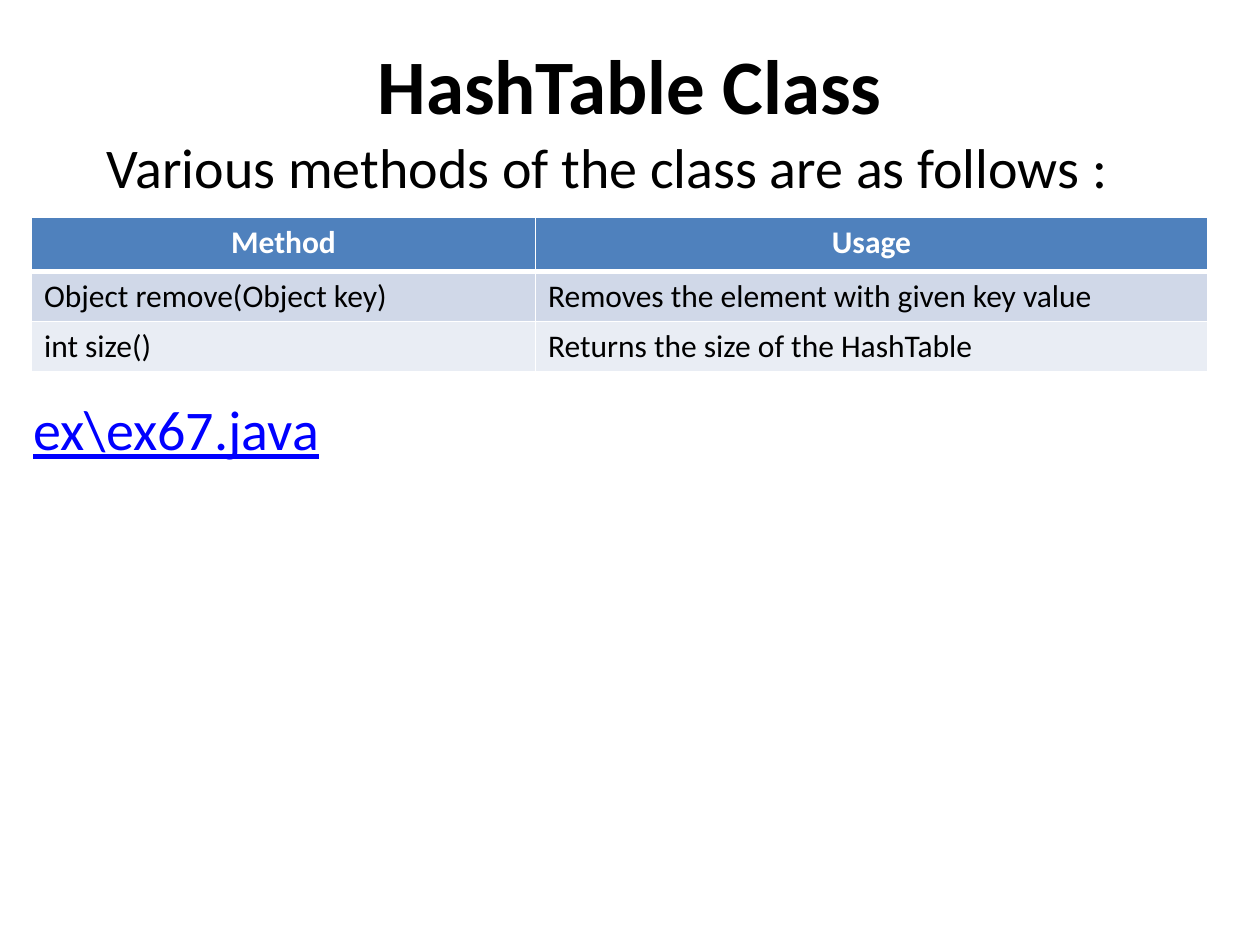
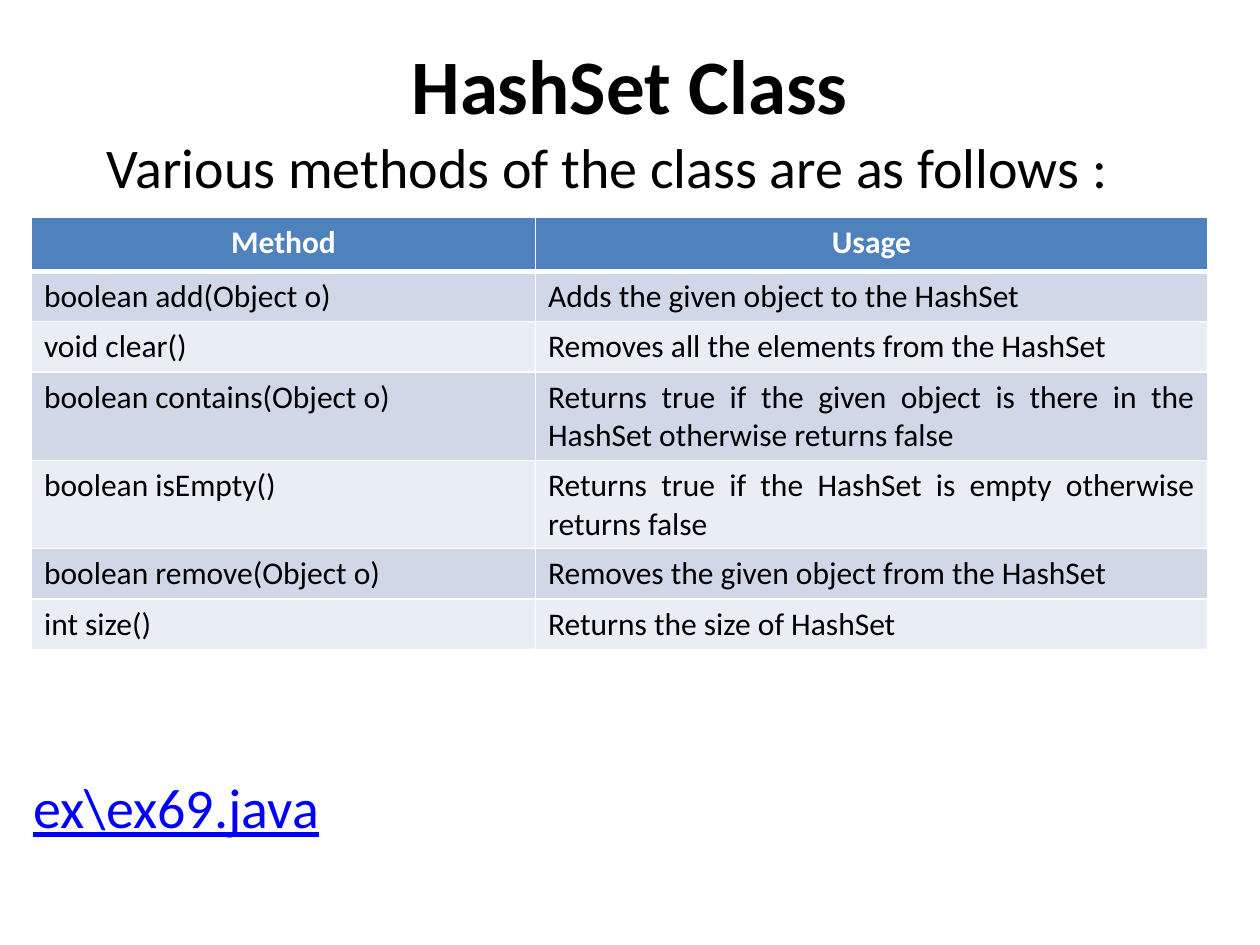
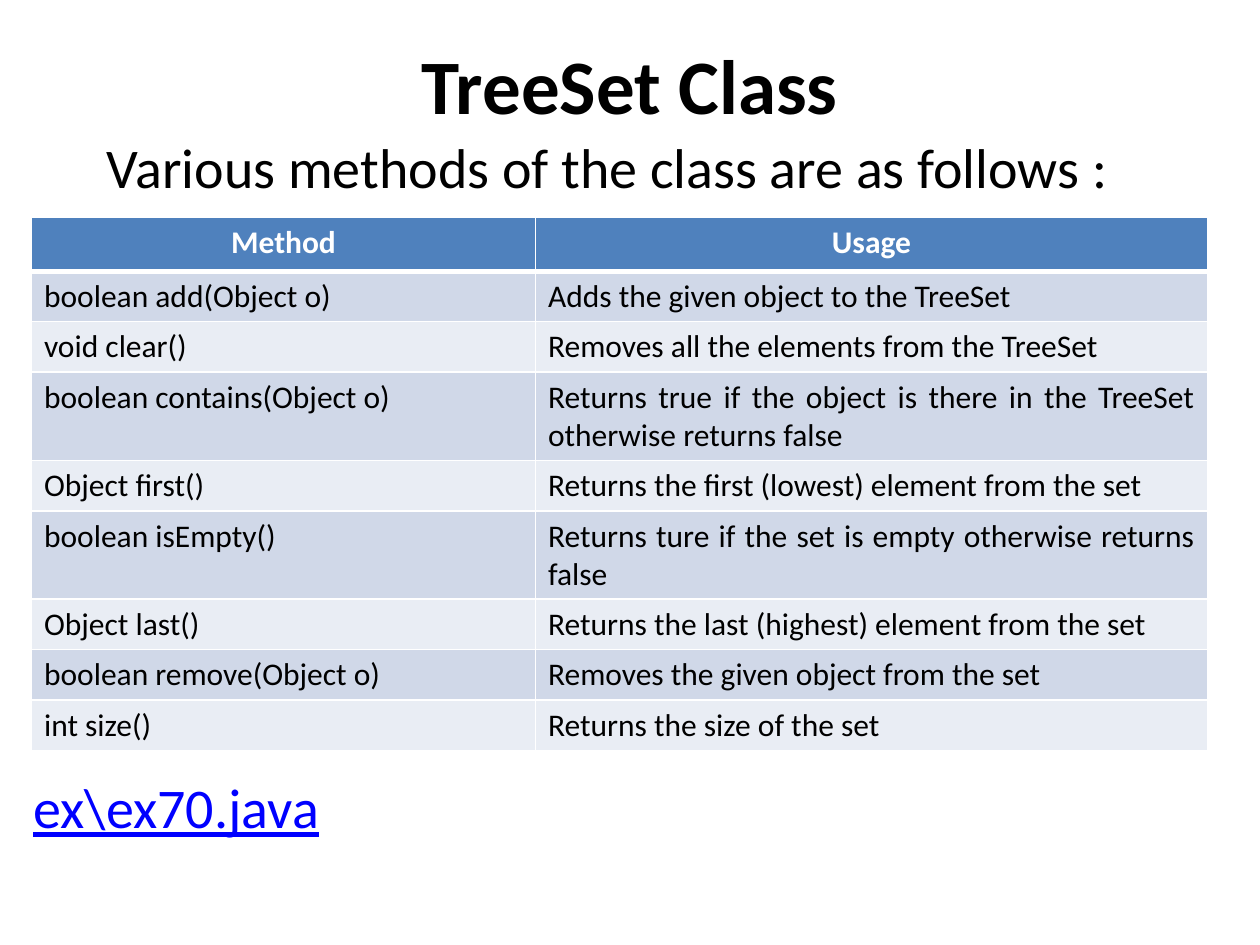
from lxml.etree import SubElement
from pptx import Presentation
from pptx.dml.color import RGBColor
from pptx.enum.text import MSO_ANCHOR, MSO_AUTO_SIZE, PP_ALIGN
from pptx.oxml.ns import qn
from pptx.util import Pt

FACE = "Calibri"
BLACK, WHITE, LINK = "000000", "FFFFFF", "0000FF"
HEAD, BANDS = "4F81BD", ("D0D8E8", "E9EDF4")
COLS = (288, 384)
HEAD_ROW, BODY_ROW = 31, 25

SLIDES = [
    ("HashTable Class", r"ex\ex67.java", 222, [
        ("Object remove(Object key)", "Removes the element with given key value"),
        ("int size()", "Returns the size of the HashTable"),
    ]),
    ("HashSet Class", r"ex\ex69.java", 438, [
        ("boolean add(Object o)", "Adds the given object to the HashSet"),
        ("void clear()", "Removes all the elements from the HashSet"),
        ("boolean contains(Object o)",
         "Returns true if the given object is there in the HashSet otherwise returns false"),
        ("boolean isEmpty()",
         "Returns true if the HashSet is empty otherwise returns false"),
        ("boolean remove(Object o)", "Removes the given object from the HashSet"),
        ("int size()", "Returns the size of HashSet"),
    ]),
    ("TreeSet Class", r"ex\ex70.java", 438, [
        ("boolean add(Object o)", "Adds the given object to the TreeSet"),
        ("void clear()", "Removes all the elements from the TreeSet"),
        ("boolean contains(Object o)",
         "Returns true if the object is there in the TreeSet otherwise returns false"),
        ("Object first()", "Returns the first (lowest) element from the set"),
        ("boolean isEmpty()",
         "Returns ture if the set is empty otherwise returns false"),
        ("Object last()", "Returns the last (highest) element from the set"),
        ("boolean remove(Object o)", "Removes the given object from the set"),
        ("int size()", "Returns the size of the set"),
    ]),
]


def paint(target, color):
    """Colour a fill."""
    target.solid()
    target.fore_color.rgb = RGBColor.from_string(color)


def write(frame, text, size, color, align, bold=False, under=False):
    frame.text = text
    para = frame.paragraphs[0]
    para.alignment = align
    font = para.font
    font.name, font.size = FACE, Pt(size)
    font.bold, font.underline = bold, under
    font.color.rgb = RGBColor.from_string(color)


def add_title(slide, text):
    title = slide.shapes.title
    title.left, title.top = Pt(0), Pt(12)
    title.width, title.height = Pt(720), Pt(72)
    title.text_frame.vertical_anchor = MSO_ANCHOR.MIDDLE
    write(title.text_frame, text, 44, BLACK, PP_ALIGN.CENTER, bold=True)


def add_line(slide, text, left, top, color=BLACK, under=False):
    """Add one line of large text."""
    box = slide.shapes.add_textbox(Pt(left), Pt(top), Pt(690), Pt(46))
    frame = box.text_frame
    frame.word_wrap = True
    frame.auto_size = MSO_AUTO_SIZE.SHAPE_TO_FIT_TEXT
    write(frame, text, 32, color, PP_ALIGN.JUSTIFY, under=under)


def add_edges(cell, base):
    """Draw white cell borders, the bottom one of the given width."""
    props = cell._tc.get_or_add_tcPr()
    for side in "LRTB":
        width = Pt(base if side == "B" else 1)
        line = SubElement(props, qn(f"a:ln{side}"), w=str(width))
        fill = SubElement(line, qn("a:solidFill"))
        SubElement(fill, qn("a:srgbClr"), val=WHITE)


def fill_cell(cell, text, fill, color, align, bold=False, base=1):
    add_edges(cell, base)
    paint(cell.fill, fill)
    write(cell.text_frame, text, 18, color, align, bold)


def add_methods(slide, rows):
    high = HEAD_ROW + BODY_ROW * len(rows)
    table = slide.shapes.add_table(
        len(rows) + 1, len(COLS), Pt(18), Pt(124), Pt(sum(COLS)), Pt(high)).table
    for col, width in zip(table.columns, COLS):
        col.width = Pt(width)
    for num, row in enumerate(table.rows):
        row.height = Pt(BODY_ROW if num else HEAD_ROW)
    for col, text in enumerate(("Method", "Usage")):
        fill_cell(table.cell(0, col), text, HEAD, WHITE, PP_ALIGN.CENTER,
                  bold=True, base=3)
    for num, row in enumerate(rows):
        for col, align in enumerate((PP_ALIGN.LEFT, PP_ALIGN.JUSTIFY)):
            fill_cell(table.cell(num + 1, col), row[col], BANDS[num % 2],
                      BLACK, align)


def main():
    deck = Presentation()
    deck.slide_width, deck.slide_height = Pt(720), Pt(540)
    for title, source, top, rows in SLIDES:
        slide = deck.slides.add_slide(deck.slide_layouts[5])
        add_title(slide, title)
        add_line(slide, "\tVarious methods of the class are as follows :", 18, 72)
        add_methods(slide, rows)
        add_line(slide, source, 12, top, LINK, under=True)
    deck.save("out.pptx")


if __name__ == "__main__":
    main()
